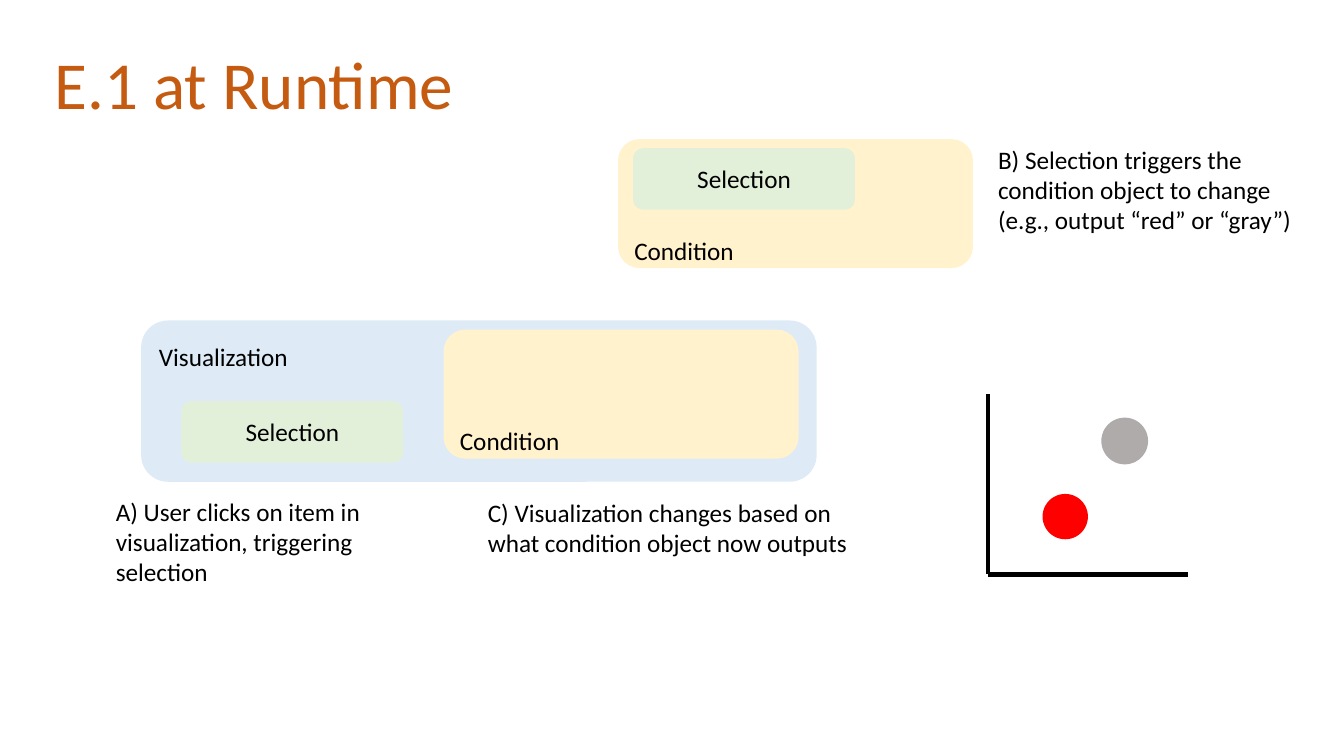
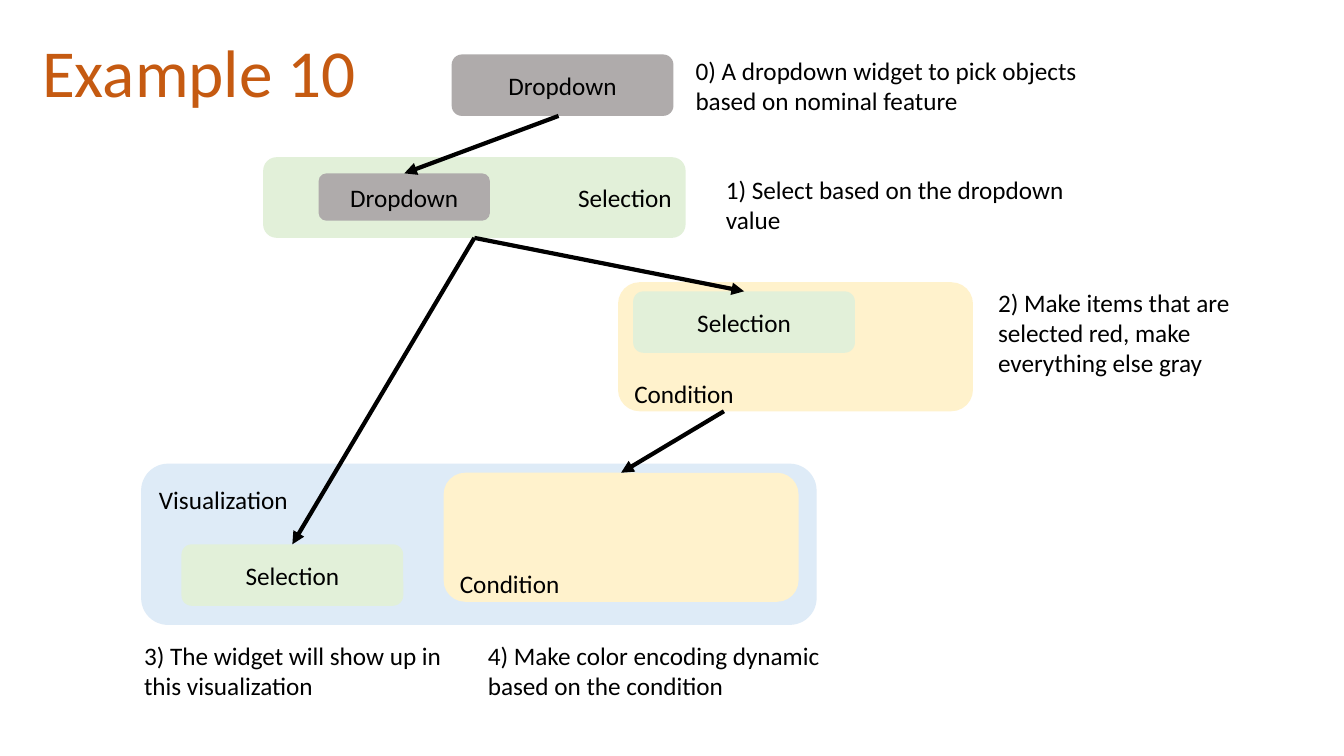
import pptx
import pptx.util
import pptx.dml.color
import pptx.enum.shapes
import pptx.enum.text
import pptx.oxml.ns
import lxml.etree

Inches = pptx.util.Inches
Pt = pptx.util.Pt
SHAPE = pptx.enum.shapes.MSO_SHAPE
ALIGN = pptx.enum.text.PP_ALIGN
ANCHOR = pptx.enum.text.MSO_ANCHOR

COLOURS = {
    "title": "C55A11",
    "ink": "000000",
    "condition": "FFF2CC",
    "selection": "E2F0D9",
    "visualization": "DEEBF7",
    "gray": "AFABAB",
    "red": "FF0000",
}
FONT = "Calibri"
TOP, BOTTOM = 0, 2
LABEL_WIDTH, LABEL_HEIGHT = 2.2, 0.61


def colour(name):
    """Return the named colour."""
    return pptx.dml.color.RGBColor.from_string(COLOURS[name])


def write(frame, text, size=18, ink="ink", align=ALIGN.LEFT):
    """Put one styled paragraph into a text frame."""
    frame.word_wrap = True
    para = frame.paragraphs[0]
    para.text = text
    para.alignment = align
    para.font.name = FONT
    para.font.size = Pt(size)
    para.font.color.rgb = colour(ink)


def add_text(page, left, top, width, height, text, size=18, ink="ink"):
    """Add a text box."""
    box = page.shapes.add_textbox(Inches(left), Inches(top), Inches(width), Inches(height))
    write(box.text_frame, text, size, ink)


def add_title(page, left, top, width, text):
    """Add the slide title."""
    add_text(page, left, top, width, 0.91, text, 48, "title")


def add_filled(page, preset, left, top, width, height, fill):
    """Add a flat filled shape without outline."""
    shape = page.shapes.add_shape(preset, Inches(left), Inches(top), Inches(width), Inches(height))
    shape.shadow.inherit = False
    shape.fill.solid()
    shape.fill.fore_color.rgb = colour(fill)
    shape.line.fill.background()
    return shape


def add_block(page, left, top, width, height, fill, text, align=ALIGN.CENTER):
    """Add a rounded block with a vertically centred label."""
    block = add_filled(page, SHAPE.ROUNDED_RECTANGLE, left, top, width, height, fill)
    block.text_frame.vertical_anchor = ANCHOR.MIDDLE
    write(block.text_frame, text, align=align)
    return block


def add_label(page, left, top, fill, text):
    """Add a block of the common label size."""
    return add_block(page, left, top, LABEL_WIDTH, LABEL_HEIGHT, fill, text)


def add_condition(page, left, top):
    """Add a condition block labelled near its bottom edge."""
    block = add_block(page, left, top, 3.52, 1.28, "condition", "Condition", ALIGN.LEFT)
    block.text_frame.margin_top = Inches(0.92)
    block.text_frame.margin_bottom = 0
    return block


def add_condition_with_selection(page, left, top):
    """Add a condition that holds a selection, and return the selection."""
    add_condition(page, left, top)
    return add_label(page, left + 0.15, top + 0.09, "selection", "Selection")


def add_visualization(page, left, top):
    """Add the visualization and return its selection and condition."""
    block = add_block(page, left, top, 6.7, 1.6, "visualization", "Visualization", ALIGN.LEFT)
    block.text_frame.margin_top = 0
    block.text_frame.margin_bottom = Inches(0.88)
    condition = add_condition(page, left + 3, top + 0.09)
    selection = add_label(page, left + 0.4, top + 0.8, "selection", "Selection")
    return selection, condition


def add_line(page, start, end):
    """Add a straight black line between two points."""
    points = [Inches(value) for value in (*start, *end)]
    line = page.shapes.add_connector(pptx.enum.shapes.MSO_CONNECTOR.STRAIGHT, *points)
    line.line.color.rgb = colour("ink")
    line.line.width = Pt(3)
    lxml.etree.SubElement(line._element.spPr, pptx.oxml.ns.qn("a:effectLst"))
    return line


def add_arrow(page, target, source=None, start=(0, 0)):
    """Add an arrow to the top of a block, from a block's bottom or a point."""
    arrow = add_line(page, start, (0, 0))
    if source is not None:
        arrow.begin_connect(source, BOTTOM)
    arrow.end_connect(target, TOP)
    outline = arrow.line._get_or_add_ln()
    lxml.etree.SubElement(outline, pptx.oxml.ns.qn("a:tailEnd"), type="triangle")


def add_scatter_sketch(page, left, top):
    """Sketch a scatter plot with one gray and one red point."""
    width, height, diameter = 1.98, 1.79, 0.45
    add_line(page, (left, top), (left, top + height - 0.01))
    add_line(page, (left, top + height), (left + width, top + height))
    for across, down, fill in ((1.13, 0.24, "gray"), (0.54, 0.99, "red")):
        point = add_filled(page, SHAPE.OVAL, left + across, top + down, diameter, diameter, fill)
        if fill == "gray":
            point.line.color.rgb = colour(fill)
            point.line.width = Pt(1)


def build_runtime(page):
    """Build the slide on behaviour at runtime."""
    add_title(page, 0.44, 0.37, 7.08, "E.1 at Runtime")
    add_condition_with_selection(page, 6.13, 1.38)
    add_visualization(page, 1.4, 3.18)
    add_scatter_sketch(page, 9.8, 3.91)
    for left, top, width, height, text in (
        (1.05, 4.87, 3.15, 1.01, "A) User clicks on item in visualization, triggering selection"),
        (9.8, 1.38, 3.15, 1.31,
         "B) Selection triggers the condition object to change (e.g., output “red” or “gray”)"),
        (4.74, 4.88, 3.96, 1.01,
         "C) Visualization changes based on what condition object now outputs"),
    ):
        add_text(page, left, top, width, height, text)


def build_dropdown_example(page):
    """Build the slide on the dropdown example."""
    add_title(page, 0.32, 0.25, 4.04, "Example 10")
    add_label(page, 4.48, 0.54, "gray", "Dropdown")
    selector = add_block(page, 2.61, 1.56, 4.19, 0.8, "selection", "Selection", ALIGN.RIGHT)
    inner_dropdown = add_block(page, 3.16, 1.72, 1.7, 0.47, "gray", "Dropdown")
    condition_input = add_condition_with_selection(page, 6.13, 2.8)
    shown_selection, shown_condition = add_visualization(page, 1.4, 4.6)
    add_arrow(page, inner_dropdown, start=(5.54, 1.15))
    add_arrow(page, condition_input, selector)
    add_arrow(page, shown_selection, selector)
    add_arrow(page, shown_condition, start=(7.18, 4.08))
    for left, top, width, height, text in (
        (6.8, 0.5, 4.28, 1.01, "0) A dropdown widget to pick objects based on nominal feature"),
        (7.1, 1.68, 3.62, 0.71, "1) Select based on the dropdown value"),
        (9.8, 2.8, 3.15, 1.01, "2) Make items that are selected red, make everything else gray"),
        (1.33, 6.3, 3.15, 0.71, "3) The widget will show up in this visualization"),
        (4.74, 6.3, 3.96, 1.01, "4) Make color encoding dynamic based on the condition"),
    ):
        add_text(page, left, top, width, height, text)


def main():
    """Build and save the deck."""
    deck = pptx.Presentation()
    deck.slide_width, deck.slide_height = Inches(13.33), Inches(7.5)
    for build in (build_runtime, build_dropdown_example):
        build(deck.slides.add_slide(deck.slide_layouts[6]))
    deck.save("out.pptx")


if __name__ == "__main__":
    main()
